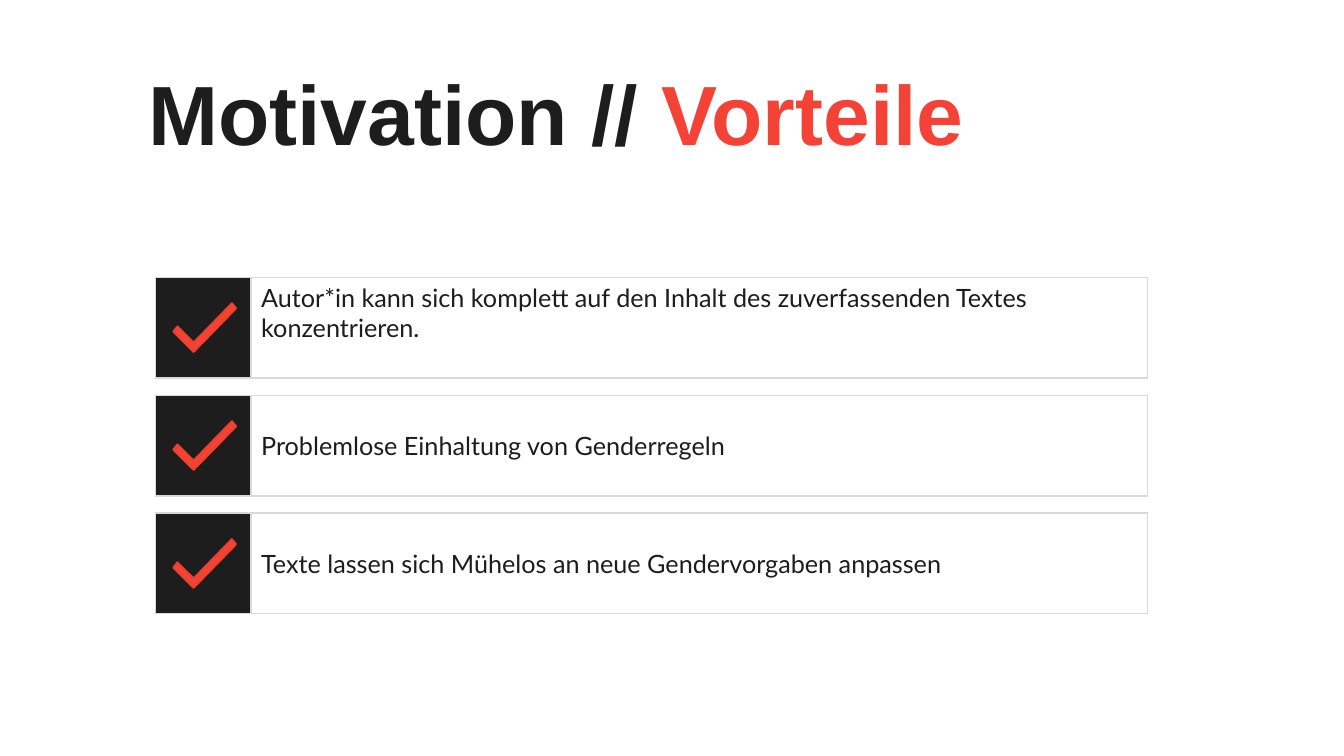
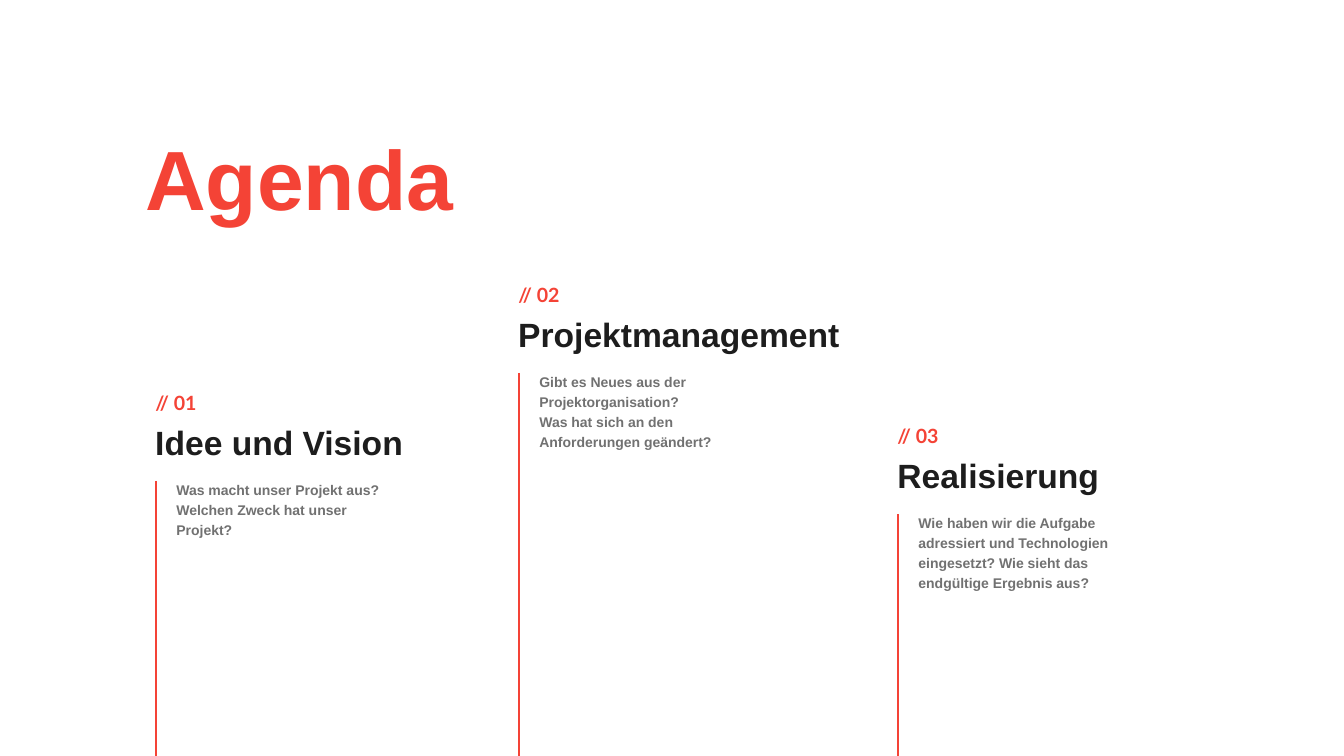
import pptx
import pptx.dml.color
import pptx.enum.shapes
import pptx.enum.text
import pptx.oxml
import pptx.oxml.ns
import pptx.util

RGB = pptx.dml.color.RGBColor
ANCHOR = pptx.enum.text.MSO_ANCHOR
INK = RGB(0x1D, 0x1D, 0x1D)
RED = RGB(0xF4, 0x43, 0x36)
TICK_EDGE = RGB(0xEF, 0x40, 0x2D)
GREY = RGB(0x71, 0x71, 0x71)
BORDER = RGB(0xD9, 0xD9, 0xD9)

PX = 9144  # 100 px to the inch
SLIDE_W, SLIDE_H = 1333, 750

ADVANTAGES_TITLE = [("Motivation // ", INK), ("Vorteile", RED)]
ADVANTAGES = [
    ("Autor*in kann sich komplett auf den Inhalt des zuverfassenden Textes konzentrieren.",
     ANCHOR.TOP),
    ("Problemlose Einhaltung von Genderregeln", ANCHOR.MIDDLE),
    ("Texte lassen sich Mühelos an neue Gendervorgaben anpassen", ANCHOR.MIDDLE),
]
ROW_LEFT, ROW_TOP, ROW_H, ROW_PITCH = 154, 275, 100, 117
COLUMN_WIDTHS = (95, 889)
TICK_POINTS = [(76, 26), (38, 65), (22, 49), (18, 54), (38, 74), (80, 31)]

AGENDA_TITLE = [("Agenda", RED)]
AGENDA = [  # left, top, number, heading, questions
    (154, 392, "// 01", "Idee und Vision",
     "Was macht unser Projekt aus? Welchen Zweck hat unser Projekt?"),
    (514, 285, "// 02", "Projektmanagement",
     "Gibt es Neues aus der Projektorganisation?\n"
     "Was hat sich an den Anforderungen geändert?"),
    (890, 425, "// 03", "Realisierung",
     "Wie haben wir die Aufgabe adressiert und Technologien eingesetzt? "
     "Wie sieht das endgültige Ergebnis aus?"),
]


def px(*lengths):
    return [round(n * PX) for n in lengths]


def write(tf, runs, size, font="Arial", bold=True, spacing=None,
          anchor=ANCHOR.TOP, insets=(0, 0, 0, 0)):
    """Fill a text frame with one paragraph of (text, colour) runs."""
    tf.word_wrap = True
    tf.vertical_anchor = anchor
    tf.margin_left, tf.margin_top, tf.margin_right, tf.margin_bottom = px(*insets)
    p = tf.paragraphs[0]
    p.alignment = pptx.enum.text.PP_ALIGN.LEFT
    if spacing:
        p.line_spacing = spacing
    for text, colour in runs:
        for i, line in enumerate(text.split("\n")):
            if i:
                p.add_line_break()
            r = p.add_run()
            r.text = line
            r.font.name, r.font.size, r.font.bold = font, pptx.util.Pt(size), bold
            r.font.color.rgb = colour


def add_box(slide, box, text, colour, size, **style):
    sp = slide.shapes.add_textbox(*px(*box))
    write(sp.text_frame, [(text, colour)], size, **style)


def add_titled_slide(prs, runs, left, top):
    slide = prs.slides.add_slide(prs.slide_layouts[5])
    title = slide.shapes.title
    title.left, title.top, title.width, title.height = px(left, top, 1040, 96)
    title.text_frame.auto_size = pptx.enum.text.MSO_AUTO_SIZE.NONE
    write(title.text_frame, runs, 60, spacing=0.9, insets=(0, 5, 0, 0))
    return slide


def set_borders(cell):
    tc_pr = cell._tc.get_or_add_tcPr()
    for i, side in enumerate(("lnL", "lnR", "lnT", "lnB")):
        tc_pr.insert(i, pptx.oxml.parse_xml(
            f'<a:{side} {pptx.oxml.ns.nsdecls("a")} w="12700"><a:solidFill>'
            f'<a:srgbClr val="{BORDER}"/></a:solidFill></a:{side}>'))


def add_advantage(slide, top, text, anchor):
    frame = slide.shapes.add_table(
        1, 2, *px(ROW_LEFT, top, sum(COLUMN_WIDTHS), ROW_H))
    table = frame.table
    table.first_row = table.horz_banding = False
    for column, width in zip(table.columns, px(*COLUMN_WIDTHS)):
        column.width = width
    mark, label = table.cell(0, 0), table.cell(0, 1)
    mark.fill.solid()
    mark.fill.fore_color.rgb = INK
    label.fill.background()
    for cell in (mark, label):
        set_borders(cell)
    write(label.text_frame, [(text, INK)], 18, font="Lato", bold=False)
    label.vertical_anchor = anchor
    label.margin_left, label.margin_top, label.margin_right, label.margin_bottom = px(10, 5, 20, 5)

    points = [(ROW_LEFT + x, top + y) for x, y in TICK_POINTS]
    builder = slide.shapes.build_freeform(*points[0], scale=PX)
    builder.add_line_segments(points[1:], close=True)
    tick = builder.convert_to_shape()
    tick.shadow.inherit = False
    tick.fill.solid()
    tick.fill.fore_color.rgb = RED
    tick.line.color.rgb = TICK_EDGE
    tick.line.width = pptx.util.Pt(1.5)


def add_agenda_item(slide, left, top, number, heading, questions):
    add_box(slide, (left, top, 205, 19), number, RED, 14, font="Lato",
            spacing=0.8, anchor=ANCHOR.BOTTOM)
    add_box(slide, (left, top + 34, 330, 32), heading, INK, 24, spacing=0.8)
    add_box(slide, (left + 21, top + 82, 220, 79), questions, GREY, 10,
            spacing=1.2, insets=(0, 0, 10, 0))
    line = slide.shapes.add_connector(
        pptx.enum.shapes.MSO_CONNECTOR.STRAIGHT,
        *px(left + 1, top + 85, left + 1, SLIDE_H))
    line.line.color.rgb = RED
    line.line.width = pptx.util.Pt(1.5)
    line._element.spPr.append(pptx.oxml.parse_xml(
        f'<a:effectLst {pptx.oxml.ns.nsdecls("a")}/>'))


def main():
    prs = pptx.Presentation()
    prs.slide_width, prs.slide_height = px(SLIDE_W, SLIDE_H)

    slide = add_titled_slide(prs, ADVANTAGES_TITLE, 147, 67)
    for i, (text, anchor) in enumerate(ADVANTAGES):
        add_advantage(slide, ROW_TOP + i * ROW_PITCH, text, anchor)

    slide = add_titled_slide(prs, AGENDA_TITLE, 144, 132)
    for item in AGENDA:
        add_agenda_item(slide, *item)

    prs.save("out.pptx")


if __name__ == "__main__":
    main()
